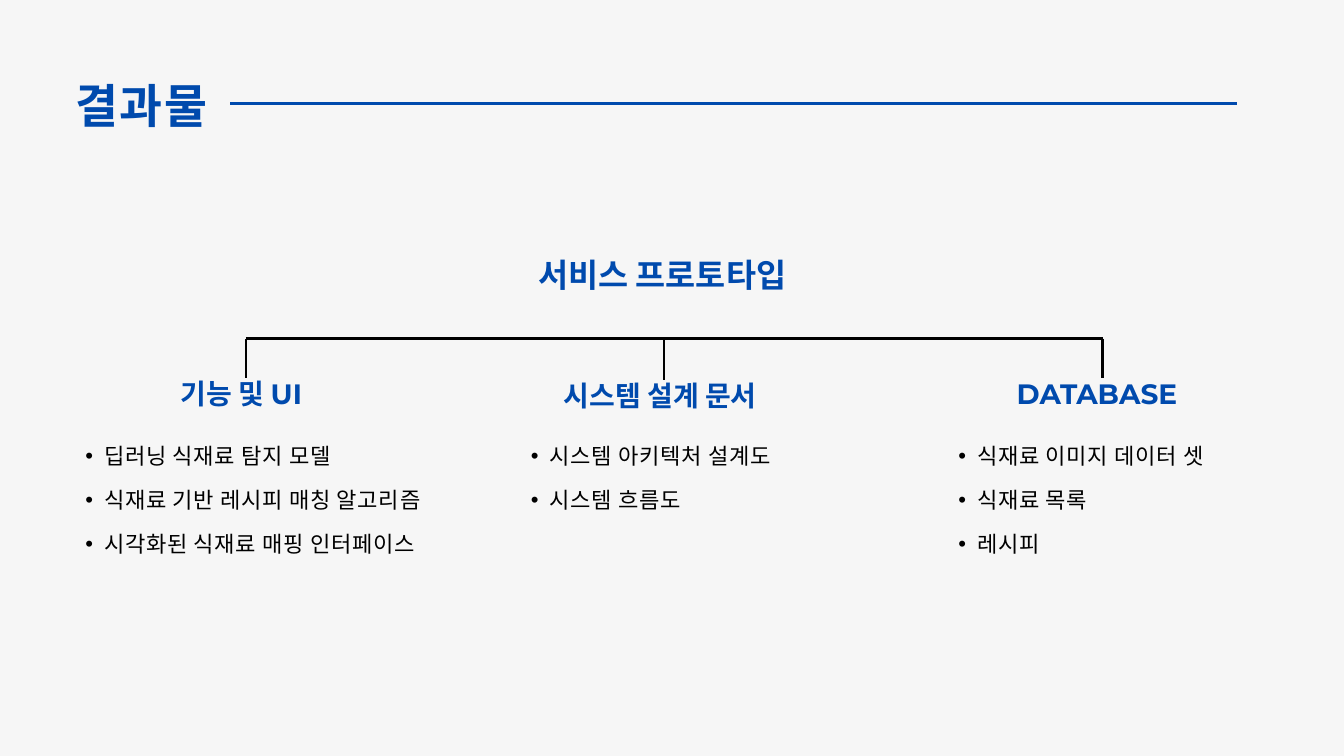
import pptx
import pptx.dml.color
import pptx.enum.shapes
import pptx.enum.text
import pptx.oxml
import pptx.oxml.ns
import pptx.util
from pptx.util import Inches

COLORS = {"background": "F6F6F6", "blue": "004AAD", "black": "000000"}
BODY_FONT = "Noto Sans CJK KR"
HEADING_FONT = "Montserrat"

# Heading, heading position and width, list left edge, list items
BRANCHES = [
    ("기능 및 UI", (2.69, 5.61, 1.94), 0.99,
     ["딥러닝 식재료 탐지 모델", "식재료 기반 레시피 매칭 알고리즘", "시각화된 식재료 매핑 인터페이스"]),
    ("시스템 설계 문서", (8.39, 5.64, 2.98), 7.62,
     ["시스템 아키텍처 설계도", "시스템 흐름도"]),
    ("DATABASE", (15.13, 5.61, 2.55), 13.98,
     ["식재료 이미지 데이터 셋", "식재료 목록", "레시피"]),
]
BRANCH_TOP = 5.04
BRANCH_ENDS = [(3.66, 5.62), (9.88, 5.65), (16.41, 5.62)]


def rgb(name):
    return pptx.dml.color.RGBColor.from_string(COLORS[name])


def prepare_frame(shape):
    """Remove the insets and let the text wrap from the top."""
    frame = shape.text_frame
    settings = {
        "margin_left": 0, "margin_right": 0, "margin_top": 0, "margin_bottom": 0,
        "word_wrap": True,
        "vertical_anchor": pptx.enum.text.MSO_ANCHOR.TOP,
        "auto_size": pptx.enum.text.MSO_AUTO_SIZE.SHAPE_TO_FIT_TEXT,
    }
    for name, value in settings.items():
        setattr(frame, name, value)
    return frame


def write_run(paragraph, text, font, size, color, bold, line_height, spacing=0):
    paragraph.line_spacing = pptx.util.Pt(line_height)
    run = paragraph.add_run()
    run.text = text
    settings = {"name": font, "size": pptx.util.Pt(size), "bold": bold}
    for name, value in settings.items():
        setattr(run.font, name, value)
    run.font.color.rgb = rgb(color)
    properties = run._r.get_or_add_rPr()
    if spacing:
        properties.set("spc", str(round(spacing * 100)))
    east_asian = pptx.oxml.parse_xml(
        f'<a:ea {pptx.oxml.ns.nsdecls("a")} typeface="{BODY_FONT}"/>')
    properties.find(pptx.oxml.ns.qn("a:latin")).addnext(east_asian)


def add_box(slide, left, top, width, height):
    box = slide.shapes.add_textbox(
        Inches(left), Inches(top), Inches(width), Inches(height))
    return prepare_frame(box)


def format_title(slide, text):
    title = slide.shapes.title
    bounds = {"left": 1.12, "top": 1.01, "width": 6.89, "height": 0.94}
    for name, value in bounds.items():
        setattr(title, name, Inches(value))
    paragraph = prepare_frame(title).paragraphs[0]
    paragraph.alignment = pptx.enum.text.PP_ALIGN.JUSTIFY
    write_run(paragraph, text, HEADING_FONT, 50, "blue", True, 70, 1.7)


def add_heading(slide, text, left, top, width, size):
    frame = add_box(slide, left, top, width, size * 1.2 / 72)
    write_run(frame.paragraphs[0], text, HEADING_FONT, size, "blue", True, size * 1.2)


def add_bullets(slide, left, items):
    frame = add_box(slide, left, 6.32, 6.02, 0.65 * len(items) - 0.05)
    for index, item in enumerate(items):
        paragraph = frame.add_paragraph() if index else frame.paragraphs[0]
        paragraph.level = 1
        properties = paragraph._p.get_or_add_pPr()
        properties.set("marL", str(Inches(0.56)))
        properties.set("indent", str(Inches(-0.28)))
        for element in ('buFont typeface="Arial"', 'buChar char="•"'):
            properties.append(pptx.oxml.parse_xml(
                f'<a:{element} {pptx.oxml.ns.nsdecls("a")}/>'))
        write_run(paragraph, item, BODY_FONT, 23.7, "black", False, 47.4, 0.8)


def add_line(slide, start, end, color, width):
    line = slide.shapes.add_connector(
        pptx.enum.shapes.MSO_CONNECTOR.STRAIGHT,
        *[Inches(value) for value in (*start, *end)])
    line.line.color.rgb = rgb(color)
    line.line.width = pptx.util.Pt(width)
    line._element.spPr.append(pptx.oxml.parse_xml(
        f'<a:effectLst {pptx.oxml.ns.nsdecls("a")}/>'))


def main():
    presentation = pptx.Presentation()
    presentation.slide_width = Inches(20)
    presentation.slide_height = Inches(11.25)
    slide = presentation.slides.add_slide(presentation.slide_layouts[5])
    slide.background.fill.solid()
    slide.background.fill.fore_color.rgb = rgb("background")

    # Title and rule
    format_title(slide, "결과물")
    add_line(slide, (3.43, 1.54), (18.41, 1.54), "blue", 2.25)

    # Tree lines
    add_line(slide, (BRANCH_ENDS[0][0], BRANCH_TOP),
             (BRANCH_ENDS[-1][0], BRANCH_TOP), "black", 3)
    for x, bottom in BRANCH_ENDS:
        add_line(slide, (x, BRANCH_TOP), (x, bottom), "black", 3)

    # Root and branches
    add_heading(slide, "서비스 프로토타입", 8.01, 3.79, 3.74, 35)
    for heading, position, list_left, items in BRANCHES:
        add_heading(slide, heading, *position, 30)
        add_bullets(slide, list_left, items)

    presentation.save("out.pptx")


if __name__ == "__main__":
    main()
